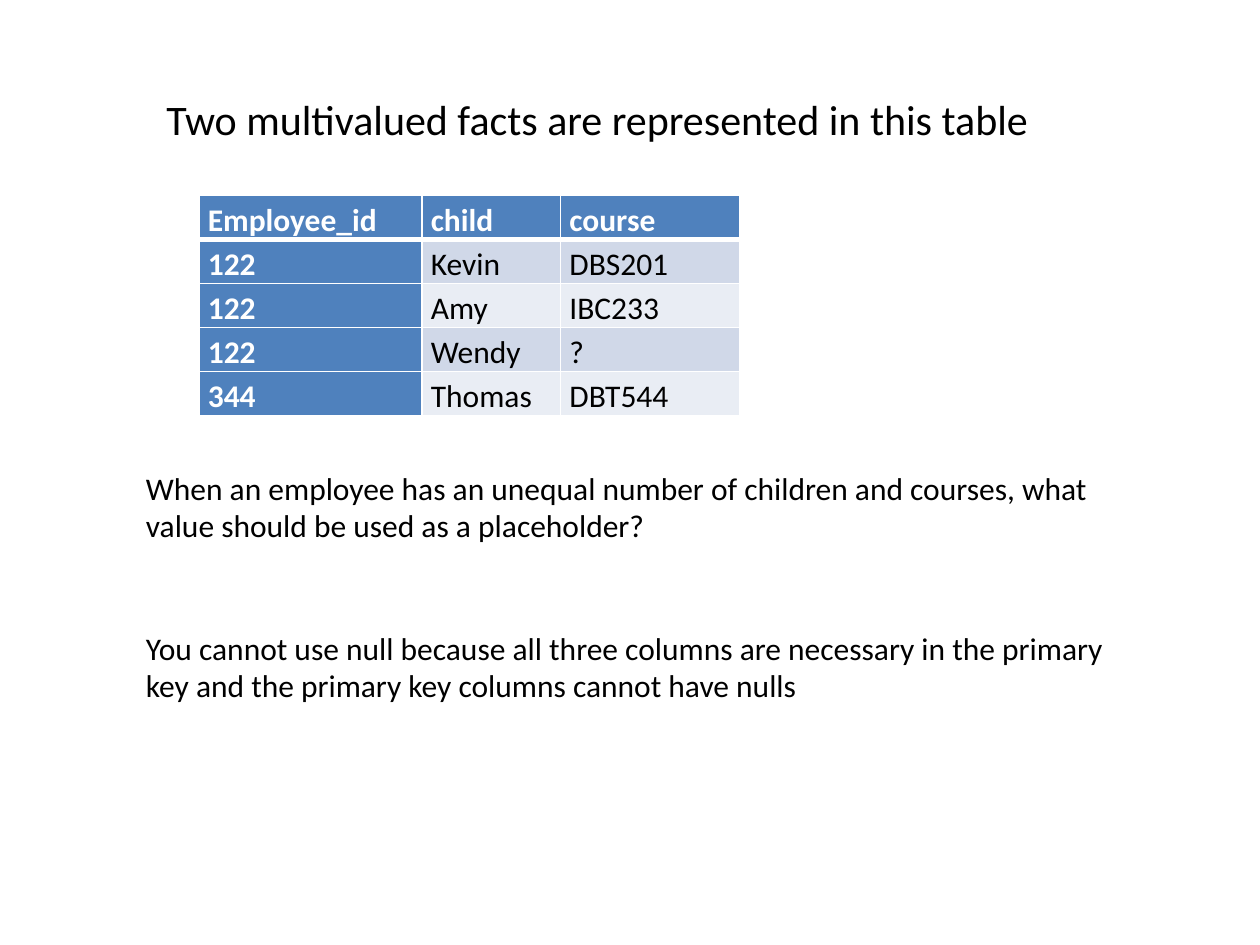
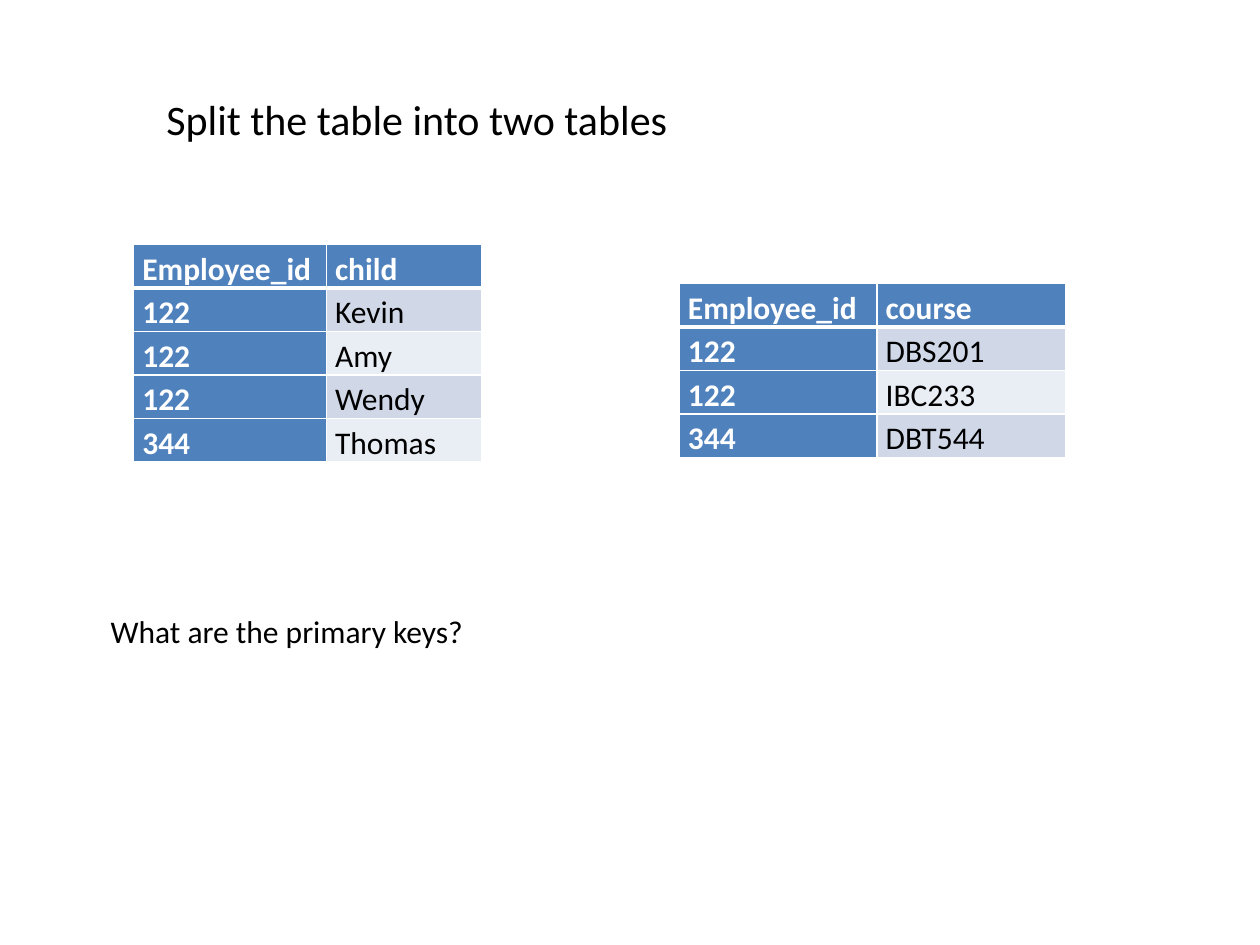
import dataclasses

import lxml.etree
import pptx
import pptx.dml.color
import pptx.enum.text
import pptx.oxml.ns
import pptx.util

Inches = pptx.util.Inches


@dataclasses.dataclass(frozen=True)
class Theme:
    font: str = "Calibri"
    title_size: int = 24
    text_size: int = 18
    ink: str = "000000"
    paper: str = "FFFFFF"
    key_fill: str = "4F81BD"
    bands: tuple = ("D0D8E8", "E9EDF4")
    rule: int = 1
    header_rule: int = 3


theme = Theme()


def style_text(frame, size, color=theme.ink, bold=False):
    for paragraph in frame.paragraphs:
        paragraph.alignment = pptx.enum.text.PP_ALIGN.LEFT
        paragraph.font.name = theme.font
        paragraph.font.size = pptx.util.Pt(size)
        paragraph.font.bold = bold
        paragraph.font.color.rgb = pptx.dml.color.RGBColor.from_string(color)


def set_borders(cell, widths):
    properties = cell._tc.get_or_add_tcPr()
    for position, (side, width) in enumerate(widths.items()):
        line = lxml.etree.Element(pptx.oxml.ns.qn(f"a:ln{side}"), w=str(pptx.util.Pt(width)))
        fill = lxml.etree.SubElement(line, pptx.oxml.ns.qn("a:solidFill"))
        lxml.etree.SubElement(fill, pptx.oxml.ns.qn("a:srgbClr"), val=theme.paper)
        properties.insert(position, line)


# Content: tables are (left, top, row height, column widths, rows),
# texts are (left, top, width, height, wording)
slides = [
    {
        "title": "Two multivalued facts are represented in this table",
        "tables": [
            (1.58, 1.55, 0.35, (1.77, 1.1, 1.42), [
                ("Employee_id", "child", "course"),
                ("122", "Kevin", "DBS201"),
                ("122", "Amy", "IBC233"),
                ("122", "Wendy", "?"),
                ("344", "Thomas", "DBT544"),
            ]),
        ],
        "texts": [
            (1.06, 3.67, 7.72, 0.71, "When an employee has an unequal number of children and "
             "courses, what value should be used as a placeholder?"),
            (1.06, 4.94, 7.87, 0.71, "You cannot use null because all three columns are necessary "
             "in the primary key and the primary key columns cannot have nulls"),
        ],
    },
    {
        "title": "Split the table into two tables",
        "tables": [
            (1.06, 1.94, 0.34, (1.53, 1.23), [
                ("Employee_id", "child"),
                ("122", "Kevin"),
                ("122", "Amy"),
                ("122", "Wendy"),
                ("344", "Thomas"),
            ]),
            (5.39, 2.25, 0.34, (1.57, 1.5), [
                ("Employee_id", "course"),
                ("122", "DBS201"),
                ("122", "IBC233"),
                ("344", "DBT544"),
            ]),
        ],
        "texts": [(0.78, 4.81, 3.86, 0.4, "What are the primary keys?")],
    },
]

presentation = pptx.Presentation()
presentation.slide_width = Inches(10)
presentation.slide_height = Inches(7.5)
title_only = presentation.slide_layouts[5]

for content in slides:
    slide = presentation.slides.add_slide(title_only)

    # Title
    title = slide.shapes.title
    title.left, title.top = Inches(1.22), Inches(0.69)
    title.width, title.height = Inches(7.87), Inches(0.5)
    title.text_frame.text = content["title"]
    title.text_frame.vertical_anchor = pptx.enum.text.MSO_ANCHOR.MIDDLE
    title.text_frame.auto_size = pptx.enum.text.MSO_AUTO_SIZE.SHAPE_TO_FIT_TEXT
    style_text(title.text_frame, theme.title_size)

    # Tables: header row and key column share one fill, the rest is banded
    for left, top, row_height, widths, rows in content["tables"]:
        table = slide.shapes.add_table(
            len(rows), len(widths), Inches(left), Inches(top),
            Inches(sum(widths)), Inches(row_height * len(rows))).table
        for column, width in zip(table.columns, widths):
            column.width = Inches(width)
        for row_index, values in enumerate(rows):
            table.rows[row_index].height = Inches(row_height)
            for column_index, value in enumerate(values):
                cell = table.cell(row_index, column_index)
                is_key = row_index == 0 or column_index == 0
                fill = theme.key_fill if is_key else theme.bands[(row_index - 1) % 2]
                cell.text = value
                cell.margin_left = cell.margin_right = Inches(0.07)
                cell.margin_top = cell.margin_bottom = 0
                cell.text_frame.paragraphs[0].line_spacing = 1.15
                style_text(cell.text_frame, theme.text_size,
                           theme.paper if is_key else theme.ink, is_key)
                cell.fill.solid()
                cell.fill.fore_color.rgb = pptx.dml.color.RGBColor.from_string(fill)
                set_borders(cell, {
                    "L": theme.rule,
                    "R": theme.rule,
                    "T": theme.header_rule if row_index == 1 else theme.rule,
                    "B": theme.header_rule if row_index == 0 else theme.rule,
                })

    # Questions and remarks
    for left, top, width, height, wording in content["texts"]:
        text_box = slide.shapes.add_textbox(
            Inches(left), Inches(top), Inches(width), Inches(height))
        text_box.text_frame.word_wrap = True
        text_box.text_frame.auto_size = pptx.enum.text.MSO_AUTO_SIZE.SHAPE_TO_FIT_TEXT
        text_box.text_frame.text = wording
        style_text(text_box.text_frame, theme.text_size)

presentation.save("out.pptx")
